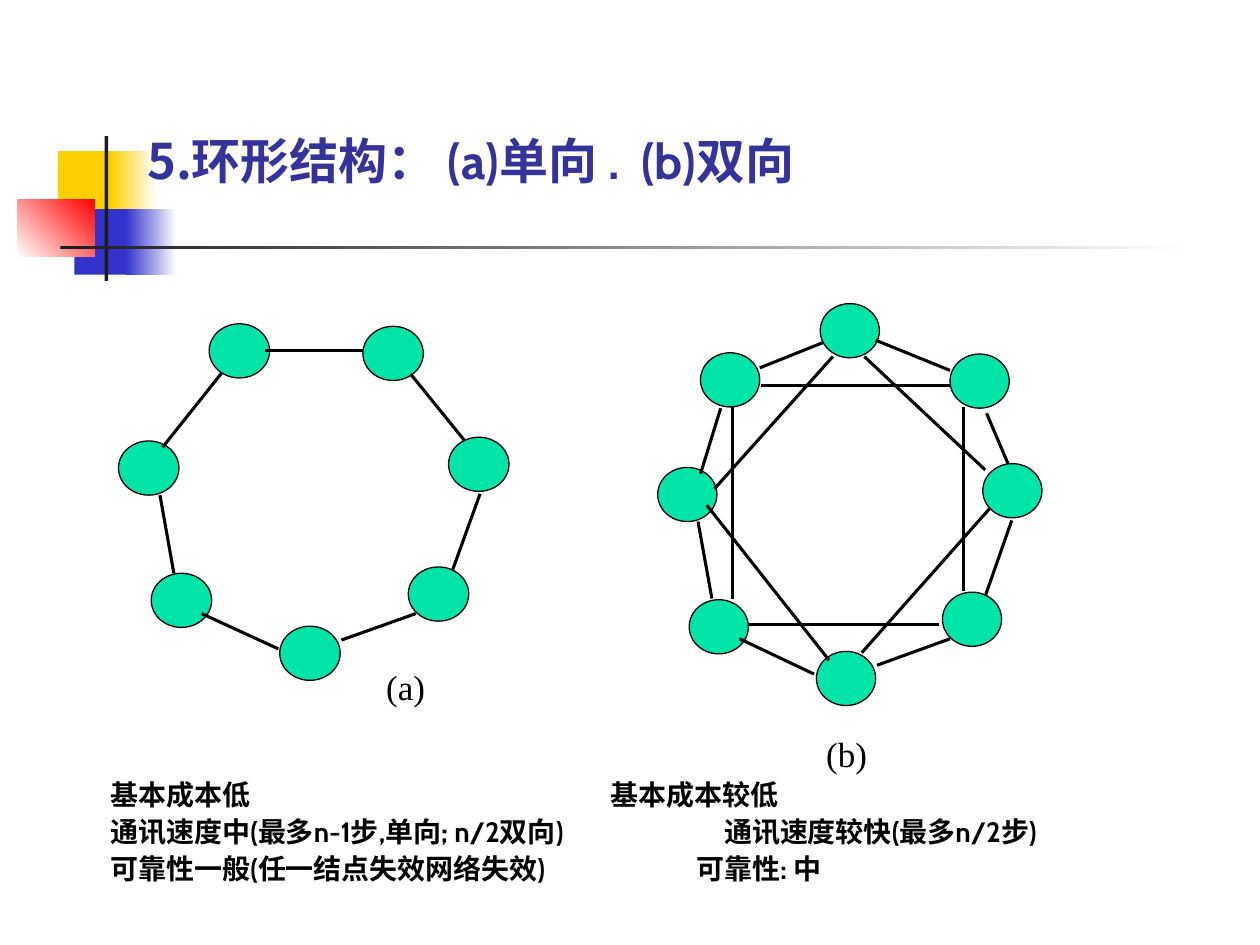
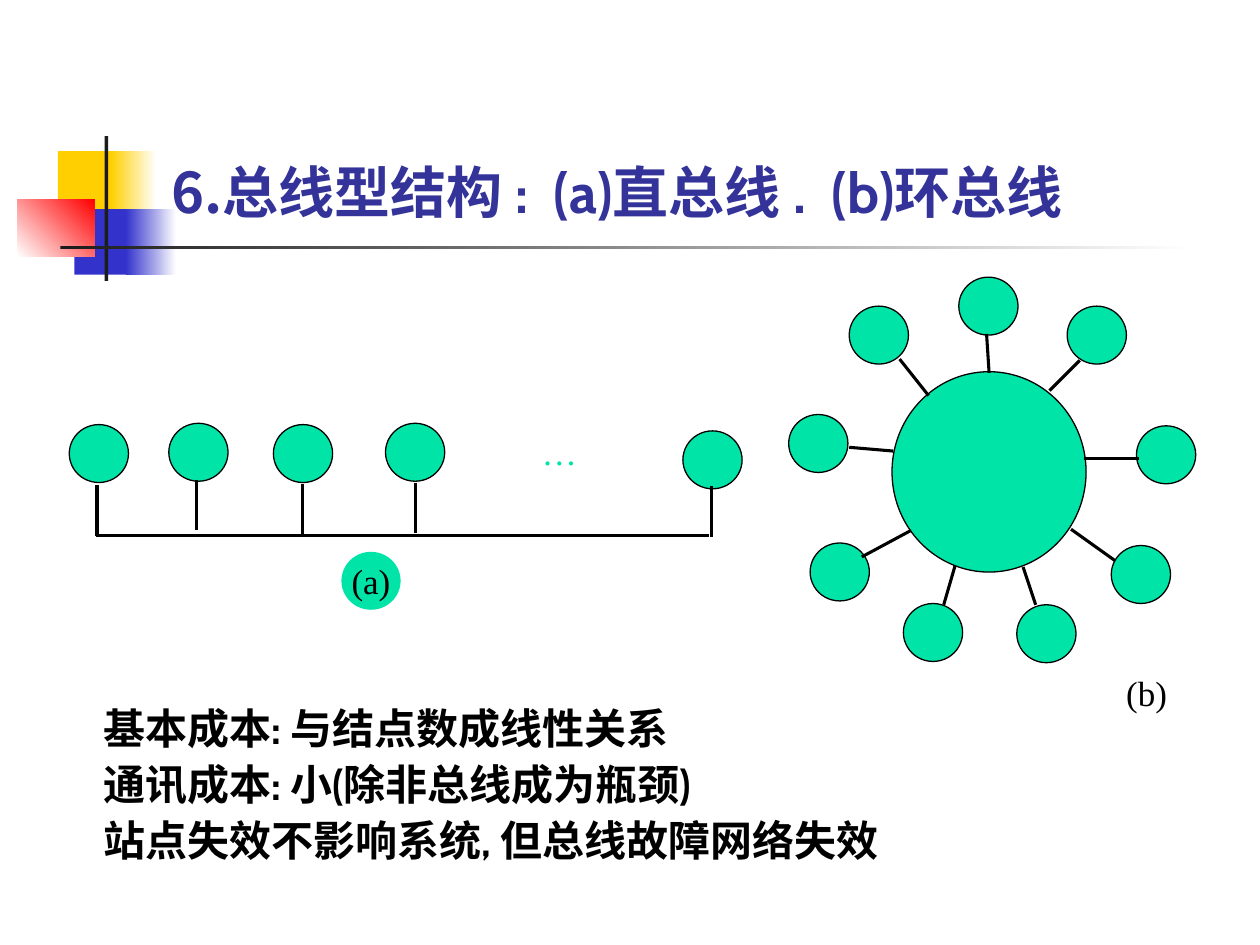
from lxml import etree
from pptx import Presentation
from pptx.dml.color import RGBColor
from pptx.enum.shapes import MSO_CONNECTOR, MSO_SHAPE
from pptx.enum.text import MSO_ANCHOR, PP_ALIGN
from pptx.oxml.ns import qn
from pptx.util import Cm, Pt

RECT, OVAL = MSO_SHAPE.RECTANGLE, MSO_SHAPE.OVAL
LINE = MSO_CONNECTOR.STRAIGHT
TOP, MID, LOW = MSO_ANCHOR.TOP, MSO_ANCHOR.MIDDLE, MSO_ANCHOR.BOTTOM
LEFT, CENTER = PP_ALIGN.LEFT, PP_ALIGN.CENTER

HUES = {"ink": "000000", "title": "333399", "node": "00E4A8", "white": "FFFFFF",
        "gold": "FFCF01", "blue": "3333CC", "red": "FF0000", "dark": "1C1C1C"}
SANS, HAN, SERIF = "Cabin", "Noto Sans CJK SC", "Times New Roman"

# Shared band: box, first hue, last hue (None for a flat fill), angle
BAND = [
    ((0.46, 1.2, 0.48, 0.52), "gold", None, 0),
    ((0.88, 1.2, 0.36, 0.52), "gold", "white", 0),
    ((0.59, 1.66, 0.46, 0.52), "blue", None, 0),
    ((1, 1.66, 0.4, 0.52), "blue", "white", 0),
    ((0.14, 1.58, 0.61, 0.46), "white", "red", 45),
    ((0.83, 1.08, 0.03, 1.15), "dark", None, 0),
    ((0.48, 1.95, 9, 0.03), "dark", "white", 0),
]

# Ring slide: node corners, then link ends
RING = {
    "title": [("5.环形结构", HAN), ("： (a)", SANS), ("单向 ", HAN),
              (".  (b)", SANS), ("双向", HAN)],
    "one": {
        "size": (0.48, 0.43),
        "nodes": [(0.94, 3.5), (1.2, 4.55), (3.24, 4.5), (2.88, 2.59),
                  (1.66, 2.57), (3.56, 3.47), (2.22, 4.97)],
        "links": [(2.88, 2.78, 2.1, 2.78), (3.3, 4.87, 2.71, 5.08),
                  (3.69, 3.5, 3.26, 2.97), (1.76, 2.96, 1.29, 3.55),
                  (1.38, 4.55, 1.27, 3.93), (3.81, 3.92, 3.59, 4.53),
                  (2.21, 5.15, 1.6, 4.87)],
    },
    "two": {
        "size": (0.47, 0.43),
        "nodes": [(5.22, 3.71), (5.47, 4.76), (7.48, 4.7), (7.54, 2.81),
                  (5.56, 2.8), (7.8, 3.68), (6.48, 5.17), (6.51, 2.41)],
        "links": [(7.54, 2.94, 6.95, 2.7), (7.54, 5.07, 6.96, 5.28),
                  (8, 3.68, 7.83, 3.28), (5.72, 3.24, 5.56, 3.76),
                  (5.65, 4.75, 5.54, 4.14), (8.03, 4.13, 7.82, 4.73),
                  (6.46, 5.35, 5.87, 5.07), (7.45, 4.96, 5.94, 4.96),
                  (6.58, 5.24, 5.61, 4.01), (7.86, 4.03, 6.84, 5.18),
                  (6.61, 2.83, 5.67, 3.88), (6.03, 2.92, 6.53, 2.72),
                  (6.86, 2.83, 7.82, 3.73), (7.65, 3.23, 7.65, 4.69),
                  (5.81, 3.22, 5.81, 4.75), (7.54, 3.06, 6.04, 3.06)],
    },
    # Left note, right note, tab stop between them
    "notes": [("基本成本低", "基本成本较低", 3.97),
              ("通讯速度中(最多n-1步,单向; n/2双向)", "通讯速度较快(最多n/2步)", 4.87),
              ("可靠性一般(任一结点失效网络失效)", "可靠性: 中", 4.65)],
}

# Bus slide: the straight bus has a drop line (x, top) under each node
BUS = {
    "title": [("6.总线型结构 ", HAN), (":  (a)", SANS), ("直总线 ", HAN),
              (".  (b)", SANS), ("环总线", HAN)],
    "bar": {
        "size": (0.47, 0.46),
        "nodes": [(0.55, 3.37), (1.34, 3.36), (2.17, 3.37), (3.06, 3.36),
                  (5.42, 3.42)],
        "links": [(0.76, 4.25, 5.63, 4.25)],
    },
    "drops": [(0.77, 3.85), (1.56, 3.81), (2.4, 3.84), (3.3, 3.83), (5.65, 3.86)],
    "hub": (7.08, 2.95, 1.54, 1.59),
    "star": {
        "size": (0.47, 0.46),
        "nodes": [(6.74, 2.43), (7.61, 2.2), (8.47, 2.43), (6.26, 3.29),
                  (6.43, 4.31), (7.17, 4.79), (8.07, 4.8), (8.82, 4.33),
                  (9.02, 3.38)],
        "links": [(7.14, 2.85, 7.37, 3.14), (7.83, 2.65, 7.85, 2.96),
                  (8.57, 2.86, 8.33, 3.1), (6.74, 3.55, 7.09, 3.58),
                  (6.84, 4.42, 7.23, 4.21), (8.6, 3.64, 9.04, 3.64),
                  (8.5, 4.2, 8.85, 4.45), (8.12, 4.5, 8.22, 4.8),
                  (7.58, 4.49, 7.49, 4.8)],
    },
    "notes": ["基本成本: 与结点数成线性关系", "通讯成本: 小(除非总线成为瓶颈)",
              "站点失效不影响系统, 但总线故障网络失效"],
}
DROP = 0.4


def scale(box):
    """Turn inches into lengths."""
    return [Cm(v * 2.54) for v in box]


def hue(name):
    return RGBColor.from_string(HUES[name])


def put_run(para, text, font, size, tint="ink", bold=False):
    run = para.add_run()
    run.text = text
    run.font.size, run.font.bold = Pt(size), bold
    run.font.color.rgb = hue(tint)
    run.font.name = font
    east = etree.SubElement(run.font._element, qn("a:ea"))
    east.set("typeface", font)


def put_box(slide, box, anchor=TOP, wrap=True):
    frame = slide.shapes.add_textbox(*scale(box)).text_frame
    frame.word_wrap, frame.vertical_anchor = wrap, anchor
    return frame


def put_shape(slide, kind, box, tint, edge=True):
    shape = slide.shapes.add_shape(kind, *scale(box))
    shape.shadow.inherit = False
    shape.fill.solid()
    shape.fill.fore_color.rgb = hue(tint)
    if edge:
        shape.line.color.rgb = hue("ink")
        shape.line.width = Pt(0.75)
    else:
        shape.line.fill.background()
    return shape


def put_band(slide):
    for box, first, last, angle in BAND:
        part = put_shape(slide, RECT, box, first, edge=False)
        if last:
            part.fill.gradient()
            part.fill.gradient_angle = angle
            for stop, tint, pos in zip(part.fill.gradient_stops, (first, last), (0, 1)):
                stop.color.rgb, stop.position = hue(tint), pos


def put_title(slide, box, runs, size, anchor, space):
    para = put_box(slide, box, anchor).paragraphs[0]
    para.line_spacing = space
    for text, font in runs:
        put_run(para, text, font, size, "title", True)


def put_link(slide, ends):
    link = slide.shapes.add_connector(LINE, *scale(ends))
    link.line.color.rgb = hue("ink")
    link.line.width = Pt(1.75)
    etree.SubElement(link._element.spPr, qn("a:effectLst"))


def put_net(slide, net):
    for node in net["nodes"]:
        put_shape(slide, OVAL, node + net["size"], "node")
    for ends in net["links"]:
        put_link(slide, ends)


def fill_label(frame, text, tint="ink"):
    frame.margin_left = frame.margin_right = 0
    frame.margin_top = frame.margin_bottom = 0
    frame.paragraphs[0].alignment = CENTER
    put_run(frame.paragraphs[0], text, SERIF, 20, tint)


def put_label(slide, x, y, text, tint="ink"):
    """Centre a label on a point."""
    frame = put_box(slide, (x - 0.4, y - 0.25, 0.8, 0.5), MID)
    fill_label(frame, text, tint)


def put_notes(slide, box, rows, size, gap):
    frame = put_box(slide, box)
    for i, row in enumerate(rows):
        para = frame.add_paragraph() if i else frame.paragraphs[0]
        if isinstance(row, tuple):
            left, right, stop = row
            tabs = etree.SubElement(para._p.get_or_add_pPr(), qn("a:tabLst"))
            etree.SubElement(tabs, qn("a:tab"), pos=str(Cm(stop * 2.54)), algn="l")
            row = left + "\t" + right
        para.alignment, para.line_spacing = LEFT, 0.9
        if i:
            para.space_before = Pt(gap)
        put_run(para, row, SANS, size, bold=True)


def make_ring(slide):
    put_title(slide, (1.07, 1.04, 7.34, 0.59), RING["title"], 28, TOP, 0.9)
    put_net(slide, RING["one"])
    put_net(slide, RING["two"])
    put_label(slide, 3.22, 5.45, "(a)")
    put_label(slide, 6.72, 5.98, "(b)")
    put_notes(slide, (0.78, 6.15, 8.67, 1), RING["notes"], 16, 4)


def make_bus(slide):
    put_title(slide, (1.26, 0.23, 8.52, 1.6), BUS["title"], 32, LOW, 1.0)
    put_notes(slide, (0.72, 5.57, 8.5, 1.62), BUS["notes"], 24, 6)
    # Straight bus
    put_net(slide, BUS["bar"])
    for x, y in BUS["drops"]:
        put_link(slide, (x, y, x, y + DROP))
    put_label(slide, 4.44, 3.58, "…", "node")
    badge = put_shape(slide, OVAL, (2.71, 4.38, 0.47, 0.46), "node", edge=False)
    badge.text_frame.word_wrap = False
    badge.text_frame.vertical_anchor = MID
    fill_label(badge.text_frame, "(a)")
    # Ring bus
    put_shape(slide, OVAL, BUS["hub"], "node")
    put_net(slide, BUS["star"])
    put_label(slide, 9.1, 5.5, "(b)")


def main():
    deck = Presentation()
    deck.slide_width, deck.slide_height = scale((10, 7.5))
    for make in (make_ring, make_bus):
        slide = deck.slides.add_slide(deck.slide_layouts[6])
        put_band(slide)
        make(slide)
    deck.save("out.pptx")


if __name__ == "__main__":
    main()
